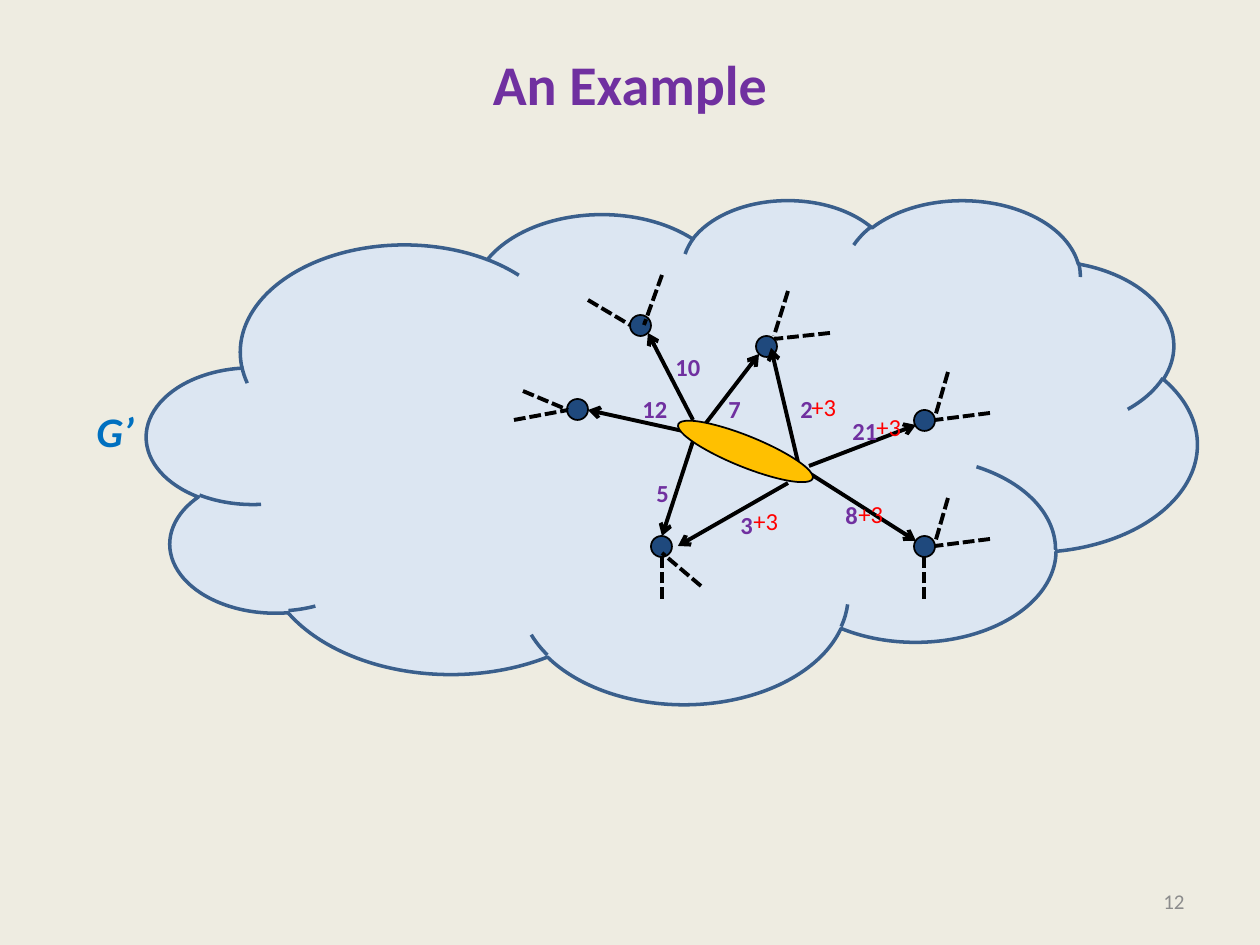
from dataclasses import dataclass

from lxml.etree import SubElement
from pptx import Presentation
from pptx.dml.color import RGBColor as RGB
from pptx.enum.dml import MSO_LINE as DASH
from pptx.enum.shapes import MSO_CONNECTOR as CONN, MSO_SHAPE as SHAPE
from pptx.enum.text import MSO_ANCHOR as ANCHOR, MSO_AUTO_SIZE as AUTO, PP_ALIGN as ALIGN
from pptx.oxml.ns import qn
from pptx.util import Emu, Pt

PX = 914400 / 126


def px(n):
    return Emu(round(n * PX))


@dataclass(frozen=True)
class Theme:
    font: str = "Calibri"
    background: str = "EEECE1"
    ink: str = "000000"
    purple: str = "7030A0"
    added: str = "FF0000"
    graph: str = "0070C0"
    grey: str = "8C8C8C"
    cloud: str = "DCE6F2"
    cloud_line: str = "3A5F8C"
    node: str = "1F497D"
    hub: str = "FFC000"
    title_size: int = 32
    graph_size: int = 24
    label_size: int = 14
    number_size: int = 12


class Canvas:
    def __init__(self, prs, theme):
        self.theme = theme
        self.s = prs.slides.add_slide(prs.slide_layouts[6])
        fill = self.s.background.fill
        fill.solid()
        fill.fore_color.rgb = RGB.from_string(theme.background)

    def shape(self, kind, box, fill, line, width=1, rotation=0):
        sp = self.s.shapes.add_shape(kind, *map(px, box))
        sp.shadow.inherit = False
        sp.fill.solid()
        sp.fill.fore_color.rgb = RGB.from_string(fill)
        sp.line.color.rgb = RGB.from_string(line)
        sp.line.width = Pt(width)
        sp.rotation = rotation

    def node(self, x, y):
        self.shape(SHAPE.OVAL, (x, y, 21, 21), self.theme.node, self.theme.ink)

    def edge(self, x1, y1, x2, y2, arrow=False):
        cn = self.s.shapes.add_connector(CONN.STRAIGHT, *map(px, (x1, y1, x2, y2)))
        cn.line.color.rgb = RGB.from_string(self.theme.ink)
        cn.line.width = Pt(2.25)
        if arrow:
            SubElement(cn.line._get_or_add_ln(), qn("a:tailEnd"), type="arrow")
        else:
            cn.line.dash_style = DASH.SQUARE_DOT
        SubElement(cn._element.spPr, qn("a:effectLst"))

    def text(self, text, box, size, color, bold=False, italic=False,
             align=ALIGN.LEFT, anchor=ANCHOR.TOP, wrap=True):
        tf = self.s.shapes.add_textbox(*map(px, box)).text_frame
        tf.word_wrap = wrap
        tf.auto_size = AUTO.NONE if wrap else AUTO.SHAPE_TO_FIT_TEXT
        tf.vertical_anchor = anchor
        p = tf.paragraphs[0]
        p.text = text
        p.alignment = align
        p.font.name = self.theme.font
        p.font.size = Pt(size)
        p.font.bold = bold
        p.font.italic = italic
        p.font.color.rgb = RGB.from_string(color)
        return tf

    def label(self, text, x, y, color, bold=True):
        width = 38 if len(text) == 1 else 50
        self.text(text, (x, y, width, 43), self.theme.label_size, color, bold, wrap=False)


LEFT_ARROWS = [(683, 431, 588, 410), (693, 441, 662, 536),
               (703, 427, 759, 354), (693, 420, 648, 333)]
RIGHT_ARROWS = [(788, 483, 678, 546), (809, 466, 916, 425),
                (809, 473, 916, 541), (798, 462, 771, 348)]
LEFT_NODES = [(756, 336), (651, 536), (567, 399), (630, 315)]
RIGHT_NODES = [(914, 410), (914, 536)]
STUBS = [(830, 333, 774, 339), (788, 291, 774, 336),
         (662, 599, 662, 557), (701, 586, 662, 553),
         (514, 420, 568, 410), (523, 391, 568, 410),
         (588, 300, 630, 325), (662, 275, 644, 325),
         (924, 599, 924, 557)]
WEIGHTS = [("5", 644, 472), ("12", 630, 388), ("10", 663, 346), ("7", 716, 388),
           ("3", 728, 504), ("2", 788, 388), ("8", 833, 494), ("21", 840, 410)]
INCREMENTS = [(741, 500), (799, 386), (846, 493), (864, 406)]


def main():
    theme = Theme()
    prs = Presentation()
    prs.slide_width, prs.slide_height = px(1260), px(945)
    c = Canvas(prs, theme)

    title = c.text("An Example", (63, 38, 1134, 158), theme.title_size, theme.purple,
                   bold=True, align=ALIGN.CENTER)
    title.margin_top = px(11)
    c.text("12", (903, 876, 294, 50), theme.number_size, theme.grey,
           align=ALIGN.RIGHT, anchor=ANCHOR.MIDDLE)
    c.shape(SHAPE.CLOUD, (147, 199, 1050, 504), theme.cloud, theme.cloud_line, width=2)
    c.text("G’", (84, 399, 63, 63), theme.graph_size, theme.graph,
           bold=True, italic=True, wrap=False)

    for ends in LEFT_ARROWS:
        c.edge(*ends, arrow=True)
    for spot in LEFT_NODES:
        c.node(*spot)
    for ends in STUBS:
        c.edge(*ends)
    for x, y in RIGHT_NODES:
        c.edge(x + 76, y + 3, x + 21, y + 10)
        c.edge(x + 34, y - 38, x + 21, y + 7)
    for ends in RIGHT_ARROWS:
        c.edge(*ends, arrow=True)
    for weight in WEIGHTS:
        c.label(*weight, theme.purple)
    for spot in RIGHT_NODES:
        c.node(*spot)
    c.shape(SHAPE.OVAL, (673, 436, 145, 31), theme.hub, theme.ink, rotation=22)
    for spot in INCREMENTS:
        c.label("+3", *spot, theme.added, bold=False)

    prs.save("out.pptx")


if __name__ == "__main__":
    main()
